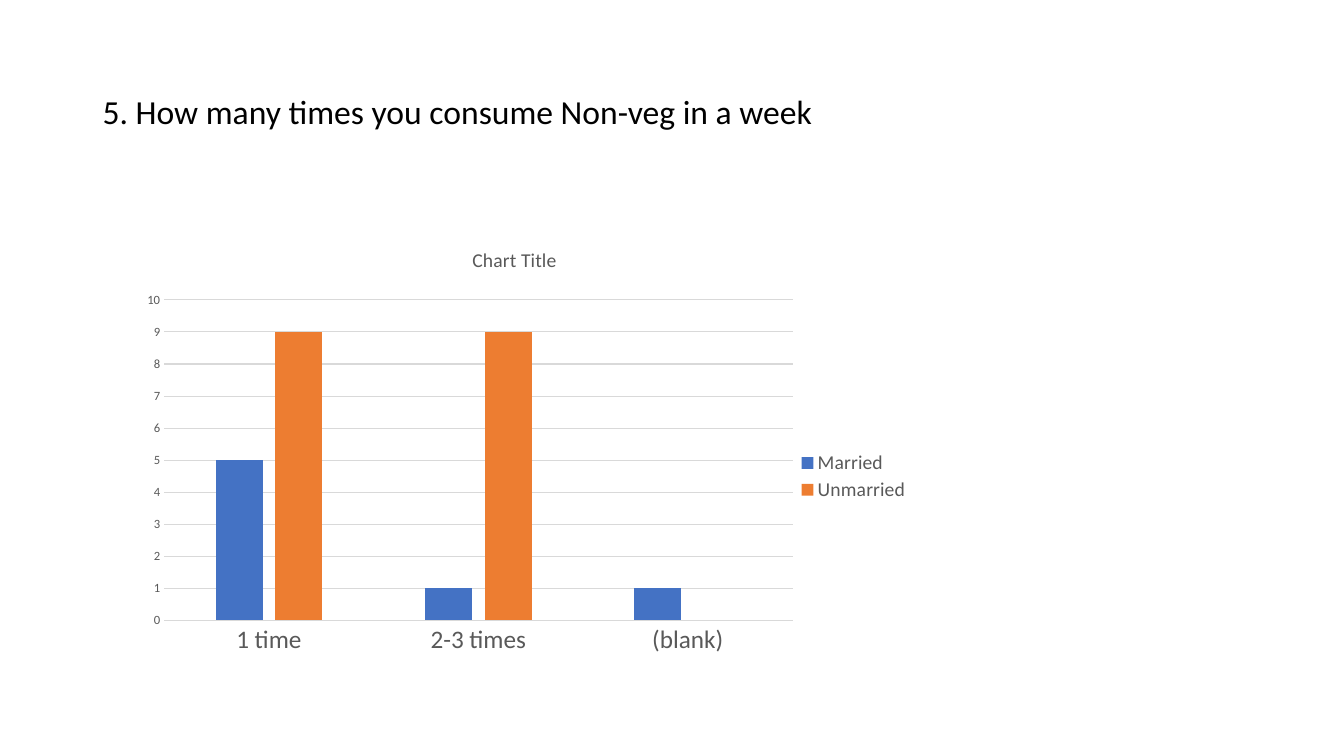
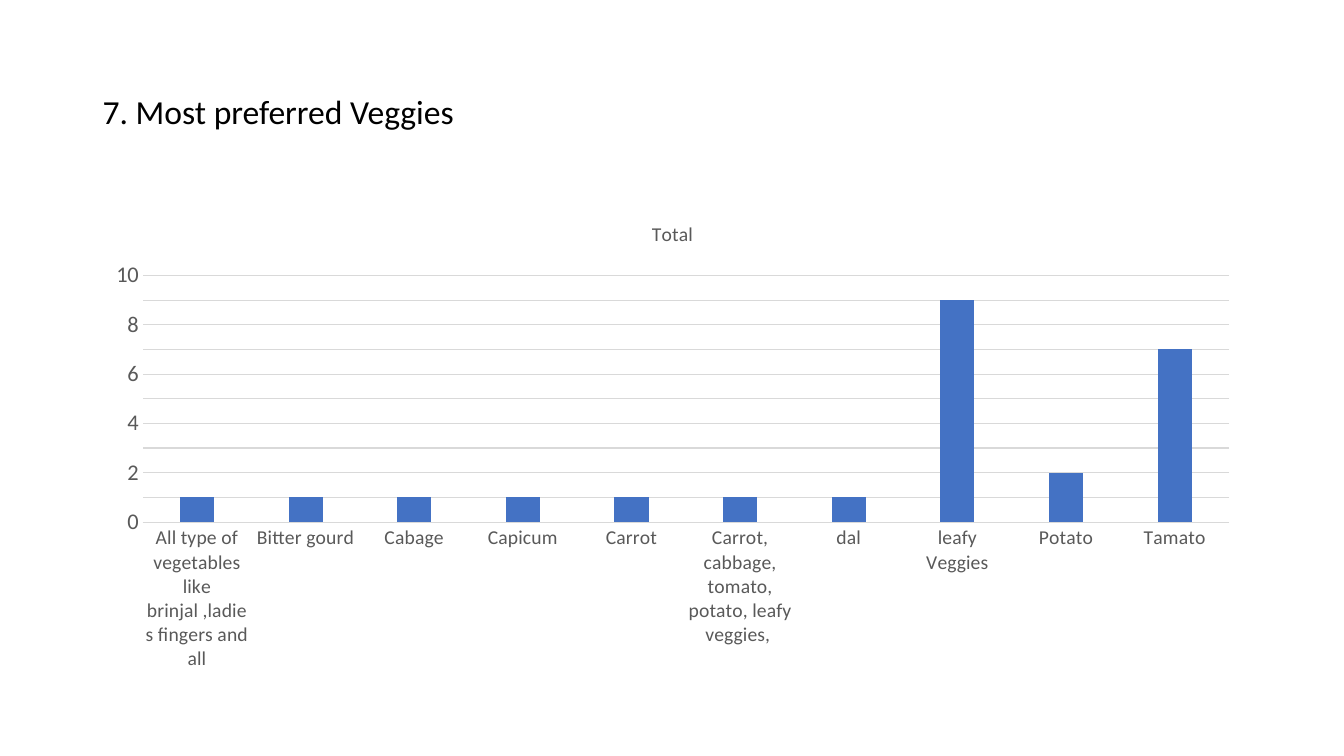
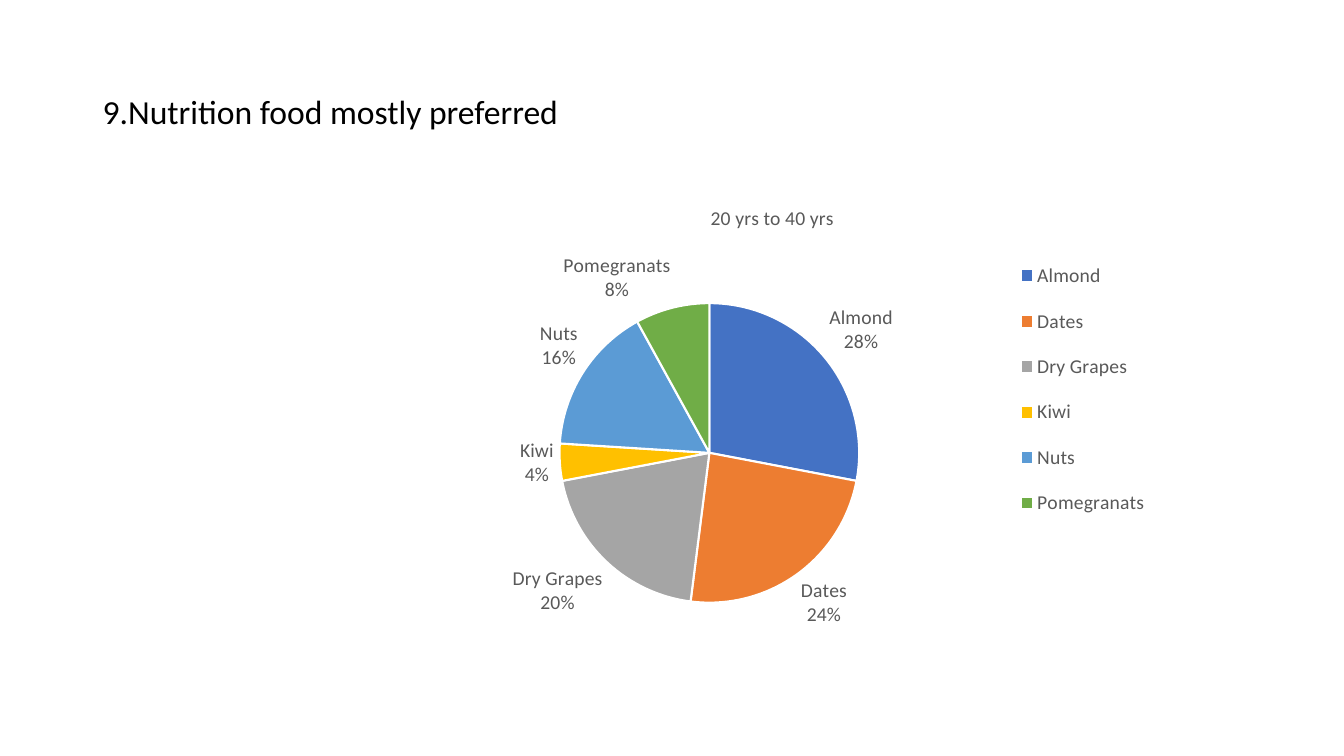
from pptx import Presentation
from pptx.chart.data import CategoryChartData
from pptx.dml.color import RGBColor
from pptx.enum.chart import XL_CHART_TYPE, XL_LABEL_POSITION, XL_LEGEND_POSITION, XL_TICK_MARK
from pptx.enum.text import MSO_ANCHOR
from pptx.oxml import parse_xml
from pptx.oxml.ns import nsdecls, qn
from pptx.util import Inches, Pt

FONT = "Calibri"
COLORS = {
    "title": "000000", "label": "595959", "grid": "D9D9D9", "border": "FFFFFF",
    "blue": "4472C4", "orange": "ED7D31", "gray": "A5A5A5",
    "gold": "FFC000", "sky": "5B9BD5", "green": "70AD47",
}
PALETTE = [RGBColor.from_string(COLORS[name])
           for name in ("blue", "orange", "gray", "gold", "sky", "green")]
GRID_COLOR = RGBColor.from_string(COLORS["grid"])


def style_font(font, size, color="label"):
    font.name = FONT
    font.size = Pt(size)
    font.bold = False
    font.color.rgb = RGBColor.from_string(COLORS[color])


def place(element, index, **fractions):
    """Give a chart part a manual layout in fractions of the chart, as child number index."""
    for old_layout in element.findall(qn("c:layout")):
        element.remove(old_layout)
    target = '<c:layoutTarget val="inner"/>' if element.tag == qn("c:plotArea") else ""
    modes = "".join(f'<c:{axis}Mode val="edge"/>' for axis in "xy")
    values = "".join(f'<c:{key} val="{value}"/>' for key, value in fractions.items())
    element.insert(index, parse_xml(
        f'<c:layout {nsdecls("c")}><c:manualLayout>{target}{modes}{values}'
        "</c:manualLayout></c:layout>"))


CHART_SLIDES = [
    {
        "heading": "5. How many times you consume Non-veg in a week",
        "type": XL_CHART_TYPE.COLUMN_CLUSTERED,
        "box": (1.31, 2.32, 7.95, 4.26),
        "title": "Chart Title",
        "title_place": {"x": 0.42, "y": 0.02},
        "plot_place": {"x": 0.04, "y": 0.154, "w": 0.784, "h": 0.746},
        "legend_place": {"x": 0.825, "y": 0.5, "w": 0.15, "h": 0.13},
        "axis_sizes": (18, 9),
        "categories": ["1 time", "2-3 times", "(blank)"],
        "series": {"Married": [5, 1, 1], "Unmarried": [9, 9, None]},
    },
    {
        "heading": "7. Most preferred Veggies",
        "type": XL_CHART_TYPE.COLUMN_CLUSTERED,
        "box": (0.92, 2, 11.5, 4.76),
        "title": "Total",
        "plot_place": {"x": 0.043, "y": 0.154, "w": 0.937, "h": 0.514},
        "axis_sizes": (14, 16),
        "categories": [
            "All type of vegetables like brinjal ,ladies fingers and all",
            "Bitter gourd", "Cabage", "Capicum", "Carrot",
            "Carrot, cabbage, tomato, potato, leafy veggies, ",
            "dal", "leafy Veggies", "Potato", "Tamato",
        ],
        "series": {"Total": [1, 1, 1, 1, 1, 1, 1, 9, 2, 7]},
    },
    {
        "heading": "9.Nutrition food mostly preferred",
        "type": XL_CHART_TYPE.PIE,
        "box": (3.66, 1.85, 8, 4.63),
        "title": "20 yrs to 40 yrs",
        "plot_place": {"x": 0.236, "y": 0.25, "w": 0.372, "h": 0.642},
        "legend_place": {"x": 0.8, "y": 0.12, "w": 0.17, "h": 0.63},
        "categories": ["Almond", "Dates", "Dry Grapes", "Kiwi", "Nuts", "Pomegranats"],
        "series": {"20 yrs to 40 yrs": [28, 24, 20, 4, 16, 8]},
    },
]

presentation = Presentation()
presentation.slide_width = Inches(13.33)
presentation.slide_height = Inches(7.5)
blank_layout = presentation.slide_layouts[6]

for content in CHART_SLIDES:
    slide = presentation.slides.add_slide(blank_layout)

    heading = slide.shapes.add_textbox(Inches(0.92), Inches(0.4), Inches(11.5), Inches(1.45))
    heading.text_frame.word_wrap = True
    heading.text_frame.vertical_anchor = MSO_ANCHOR.MIDDLE
    paragraph = heading.text_frame.paragraphs[0]
    paragraph.line_spacing = 0.9
    run = paragraph.add_run()
    run.text = content["heading"]
    style_font(run.font, 24, "title")

    chart_data = CategoryChartData()
    chart_data.categories = content["categories"]
    for name, values in content["series"].items():
        chart_data.add_series(name, values)
    box = [Inches(length) for length in content["box"]]
    chart = slide.shapes.add_chart(content["type"], *box, chart_data).chart
    style_font(chart.font, 10, "title")

    chart.has_title = True
    run = chart.chart_title.text_frame.paragraphs[0].add_run()
    run.text = content["title"]
    style_font(run.font, 14)
    if "title_place" in content:
        place(chart.chart_title._element, 1, **content["title_place"])
    place(chart._chartSpace.chart.plotArea, 0, **content["plot_place"])

    chart.has_legend = "legend_place" in content
    if chart.has_legend:
        chart.legend.position = XL_LEGEND_POSITION.RIGHT
        chart.legend.include_in_layout = False
        style_font(chart.legend.font, 14)
        place(chart.legend._element, 1, **content["legend_place"])

    plot = chart.plots[0]
    if content["type"] == XL_CHART_TYPE.PIE:
        plot.vary_by_categories = True
        series = plot.series[0]
        for index, color in enumerate(PALETTE):
            slice_format = series.points[index].format
            slice_format.fill.solid()
            slice_format.fill.fore_color.rgb = color
            slice_format.line.color.rgb = RGBColor.from_string(COLORS["border"])
            slice_format.line.width = Pt(1.5)
        labels = series.data_labels
        labels.show_value = False
        labels.show_category_name = True
        labels.show_percentage = True
        labels.position = XL_LABEL_POSITION.OUTSIDE_END
        style_font(labels.font, 14)
        separator = parse_xml(f'<c:separator {nsdecls("c")}>\n</c:separator>')
        labels._element.find(qn("c:showBubbleSize")).addnext(separator)
        continue

    plot.vary_by_categories = False
    plot.gap_width = 219
    plot.overlap = -27
    for series, color in zip(plot.series, PALETTE):
        series.format.fill.solid()
        series.format.fill.fore_color.rgb = color

    for axis, size in zip((chart.category_axis, chart.value_axis), content["axis_sizes"]):
        axis.major_tick_mark = XL_TICK_MARK.NONE
        axis.minor_tick_mark = XL_TICK_MARK.NONE
        style_font(axis.tick_labels.font, size)
    chart.value_axis.minimum_scale = 0
    chart.value_axis.maximum_scale = 10
    chart.value_axis.major_unit = 1
    chart.value_axis.has_major_gridlines = True
    chart.value_axis.format.line.fill.background()
    for line in (chart.category_axis.format.line, chart.value_axis.major_gridlines.format.line):
        line.color.rgb = GRID_COLOR
        line.width = Pt(0.75)

presentation.save("out.pptx")
